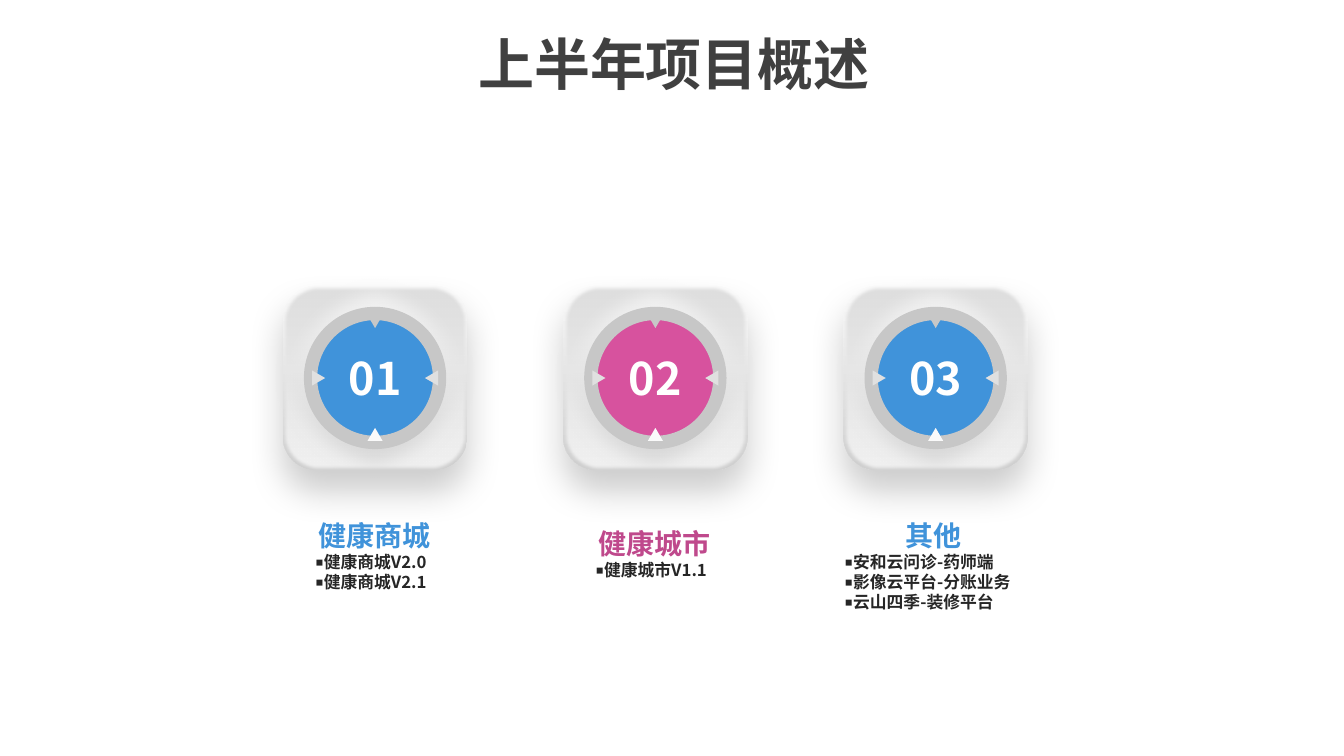
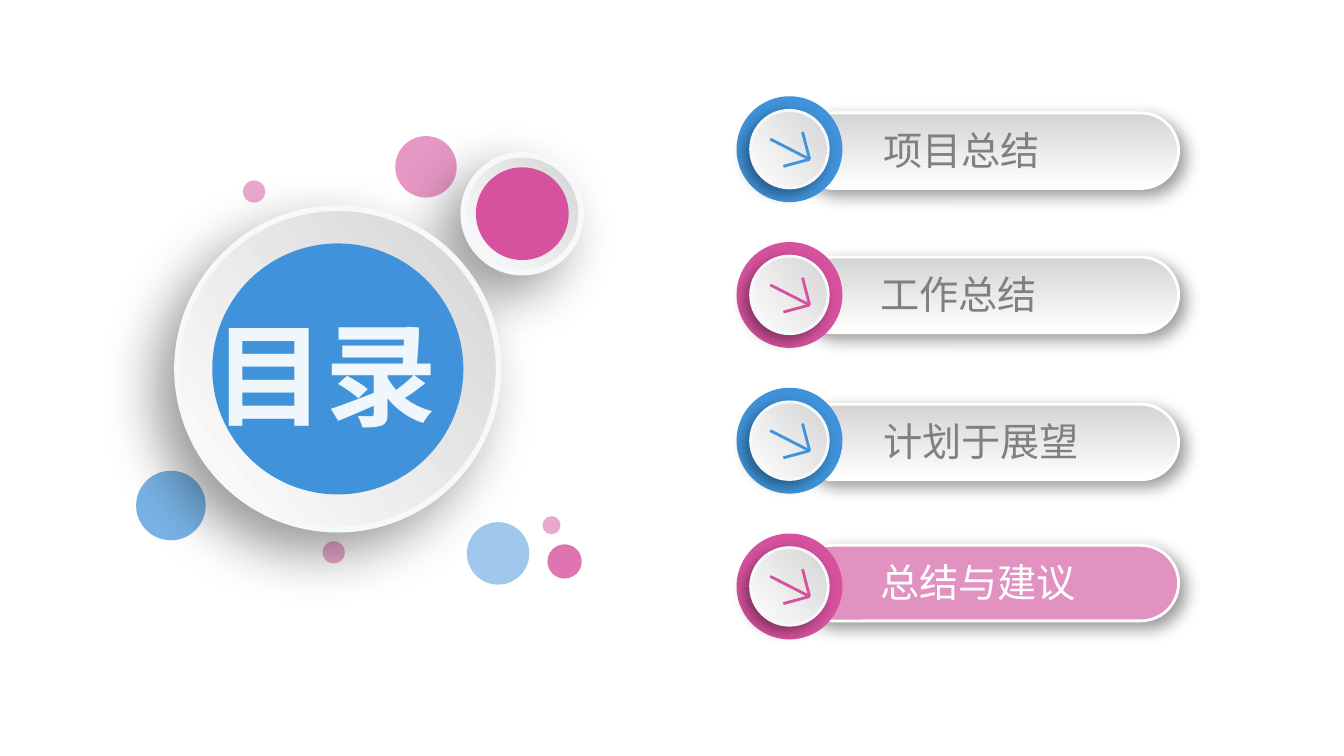
"""Build a project overview slide and a contents slide with python-pptx."""
from dataclasses import dataclass
from typing import Any, NamedTuple, Optional, Union

import lxml.etree
import pptx
import pptx.dml.color
import pptx.enum.shapes
import pptx.enum.text
import pptx.oxml.ns
import pptx.util

Inches = pptx.util.Inches
Pt = pptx.util.Pt
RGB = pptx.dml.color.RGBColor
Kind = pptx.enum.shapes.MSO_SHAPE
Align = pptx.enum.text.PP_ALIGN
qn = pptx.oxml.ns.qn

BLUE = RGB(0x40, 0x93, 0xDA)
PINK = RGB(0xD7, 0x52, 0x9E)
ROSE = RGB(0xE2, 0x92, 0xC0)
PLUM = RGB(0xBF, 0x49, 0x8C)
WHITE = RGB(0xFF, 0xFF, 0xFF)
ICE = RGB(0xEF, 0xF6, 0xFC)
RIM = RGB(0xF6, 0xF9, 0xFC)
INK = RGB(0x26, 0x26, 0x26)
DARK = RGB(0x40, 0x40, 0x40)
GREY = RGB(0x80, 0x80, 0x80)
SNOW = RGB(0xFA, 0xFA, 0xFA)
MIST = RGB(0xE0, 0xE0, 0xE0)
RING = RGB(0xC7, 0xC7, 0xC7)
STEEL = RGB(0xD4, 0xD4, 0xD4)
FACE = "Noto Sans CJK SC"


class Fade(NamedTuple):
    """Two-colour gradient with a counterclockwise angle."""
    start: RGB
    end: RGB
    angle: float


class Shade(NamedTuple):
    """Outer shadow: opacity in percent, blur and distance in points, angle."""
    alpha: int
    blur: float
    gap: float
    angle: int


class Edge(NamedTuple):
    """Outline colour and width in points."""
    color: RGB
    width: float


@dataclass(frozen=True)
class Tile:
    """Numbered project tile with its caption box."""
    number: str
    color: RGB
    tint: RGB
    head: str
    items: tuple[str, ...]
    box: tuple[float, float, float, float]


@dataclass(frozen=True)
class Entry:
    """One line of the contents list."""
    label: str
    color: RGB
    top: float
    left: float
    fill: Union[RGB, Fade]
    ink: RGB = GREY


class Dot(NamedTuple):
    """Loose translucent circle."""
    left: float
    top: float
    size: float
    color: RGB
    alpha: int


CARD = Fade(SNOW, RGB(0xCF, 0xCF, 0xCF), 270)
PLATE = Fade(RGB(0xDE, 0xDE, 0xDE), RGB(0xF2, 0xF2, 0xF2), 270)
DISH = Fade(RGB(0xF7, 0xF7, 0xF7), STEEL, 270)
BAR = Fade(WHITE, STEEL, 90)
KNOB = Fade(WHITE, STEEL, 40)

TILES = (
    Tile("01", BLUE, BLUE, "健康商城", ("健康商城V2.0", "健康商城V2.1"),
         (3.03, 5.09, 1.37, 0.84)),
    Tile("02", PINK, PLUM, "健康城市", ("健康城市V1.1",),
         (5.81, 5.17, 1.37, 0.64)),
    Tile("03", BLUE, BLUE, "其他",
         ("安和云问诊-药师端", "影像云平台-分账业务", "云山四季-装修平台"),
         (8.28, 5.09, 1.96, 1.04)),
)
ENTRIES = (
    Entry("项目总结", BLUE, 1.12, 8.66, BAR),
    Entry("工作总结", PINK, 2.55, 8.63, BAR),
    Entry("计划于展望", BLUE, 4.01, 8.66, BAR),
    Entry("总结与建议", PINK, 5.41, 8.63, ROSE, WHITE),
)
DOTS = (
    Dot(1.35, 4.67, 0.69, BLUE, 70),
    Dot(3.92, 1.35, 0.61, PINK, 60),
    Dot(2.41, 1.79, 0.22, PINK, 50),
    Dot(5.43, 5.4, 0.34, PINK, 80),
    Dot(4.63, 5.18, 0.62, BLUE, 50),
    Dot(3.2, 5.37, 0.22, PINK, 50),
    Dot(5.38, 5.12, 0.18, PINK, 50),
)


def node(host: Any, tag: str, **attrs: Any) -> Any:
    """Append a drawing element with the given attributes."""
    return lxml.etree.SubElement(host, qn(tag), {k: str(v) for k, v in attrs.items()})


def write(frame: Any, text: str, *, size: float, color: RGB, bold: bool = False,
          face: str = FACE, align: Any = Align.LEFT, mark: str = "") -> None:
    """Add one formatted paragraph, using the empty first one when free."""
    para = frame.paragraphs[0] if not frame.text else frame.add_paragraph()
    para.alignment = align
    if mark:
        props = para._p.get_or_add_pPr()
        props.set("marL", str(Inches(0.08)))
        props.set("indent", str(-Inches(0.08)))
        node(props, "a:buFont", typeface=face)
        node(props, "a:buChar", char=mark)
    run = para.add_run()
    run.text = text
    font = run.font
    font.size, font.bold, font.name = Pt(size), bold, face
    font.color.rgb = color
    node(run._r.get_or_add_rPr(), "a:ea", typeface=face)


def setup(frame: Any, wrap: bool = False) -> Any:
    """Set the wrapping and fixed size of a text frame."""
    frame.word_wrap = wrap
    frame.auto_size = pptx.enum.text.MSO_AUTO_SIZE.NONE
    return frame


def label(slide: Any, box: tuple[float, ...], wrap: bool = False) -> Any:
    """Add a text box and return its frame."""
    return setup(slide.shapes.add_textbox(*map(Inches, box)).text_frame, wrap)


def title(slide: Any, box: tuple[float, ...], text: str, **style: Any) -> None:
    """Place the title on top of the slide and fill it."""
    head = slide.shapes.title
    head.left, head.top, head.width, head.height = map(Inches, box)
    write(setup(head.text_frame), text, bold=True, **style)
    slide.shapes._spTree.append(head._element)


def shape(slide: Any, kind: Any, box: tuple[float, ...], fill: Union[RGB, Fade], *,
          edge: Optional[Edge] = None, shade: Optional[Shade] = None,
          soft: float = 0, alpha: int = 100, turn: float = 0,
          round: Optional[float] = None) -> None:
    """Draw a preset shape with its fill, outline and effects."""
    item = slide.shapes.add_shape(kind, *map(Inches, box))
    item.rotation = turn
    if round is not None:
        item.adjustments[0] = round
    if isinstance(fill, Fade):
        item.fill.gradient()
        item.fill.gradient_angle = fill.angle
        for stop, color in zip(item.fill.gradient_stops, fill[:2]):
            stop.color.rgb = color
    else:
        item.fill.solid()
        item.fill.fore_color.rgb = fill
    props = item._element.spPr
    if alpha < 100:
        node(props.find(".//" + qn("a:srgbClr")), "a:alpha", val=alpha * 1000)
    if edge:
        item.line.color.rgb = edge.color
        item.line.width = Pt(edge.width)
    else:
        item.line.fill.background()
    item.shadow.inherit = False
    effects = props.find(qn("a:effectLst"))
    if shade:
        cast = node(effects, "a:outerShdw", blurRad=Pt(shade.blur), dist=Pt(shade.gap),
                    dir=shade.angle * 60000, algn="ctr", rotWithShape=0)
        node(node(cast, "a:srgbClr", val="000000"), "a:alpha", val=shade.alpha * 1000)
    if soft:
        node(effects, "a:softEdge", rad=Pt(soft))


def disc(slide: Any, x: float, y: float, size: float, fill: Union[RGB, Fade],
         **style: Any) -> None:
    """Draw a circle around a centre."""
    shape(slide, Kind.OVAL, (x - size / 2, y - size / 2, size, size), fill, **style)


def stroke(slide: Any, start: tuple[float, float], end: tuple[float, float],
           color: RGB) -> None:
    """Draw a plain straight line."""
    line = slide.shapes.add_connector(pptx.enum.shapes.MSO_CONNECTOR.STRAIGHT,
                                      *map(Inches, start + end))
    line.line.color.rgb = color
    line.line.width = Pt(2)
    node(line._element.spPr, "a:effectLst")


def draw_tile(slide: Any, tile: Tile, x: float, y: float) -> None:
    """Draw a numbered tile and the caption below it."""
    side = 1.83
    card = (x - side / 2, y - side / 2, side, side)
    shape(slide, Kind.ROUNDED_RECTANGLE, card, CARD, round=0.183,
          shade=Shade(20, 25, 15, 90))
    shape(slide, Kind.ROUNDED_RECTANGLE, card, PLATE, round=0.183, soft=2.5)
    disc(slide, x, y, 2.03, DISH, soft=12.5)
    disc(slide, x, y, 1.28, tile.color, edge=Edge(RING, 9.5))
    reach, wide, high = 0.56, 0.15, 0.13
    for dx, dy, turn, color in ((-reach, 0, 90, MIST), (reach, 0, 270, MIST),
                                (0, -reach, 180, RING), (0, reach, 0, SNOW)):
        shape(slide, Kind.ISOSCELES_TRIANGLE,
              (x + dx - wide / 2, y + dy - high / 2, wide, high), color, turn=turn)
    write(label(slide, (x - 0.39, y - 0.32, 0.78, 0.64)), tile.number, size=32,
          color=WHITE, bold=True, align=Align.CENTER)
    frame = label(slide, tile.box)
    write(frame, tile.head, size=20, color=tile.tint, bold=True, align=Align.CENTER)
    for text in tile.items:
        write(frame, text, size=12, color=INK, bold=True, mark="￭")


def draw_entry(slide: Any, entry: Entry, x: float, y: float) -> None:
    """Draw a contents bar with its round arrow button."""
    shape(slide, Kind.ROUNDED_RECTANGLE, (7.89, entry.top, 3.8, 0.75), entry.fill,
          round=0.5, edge=Edge(WHITE, 2), shade=Shade(40, 12, 6, 45))
    write(label(slide, (entry.left, entry.top + 0.08, 2.67, 0.57), True), entry.label,
          size=28, color=entry.ink)
    disc(slide, x, y, 1.05, entry.color)
    disc(slide, x, y, 0.77, KNOB, edge=Edge(RIM, 2), shade=Shade(40, 10, 5, 135))
    tip = (x + 0.2, y + 0.1)
    for dx, dy in ((-0.39, -0.2), (-0.07, -0.27), (-0.26, 0.07)):
        stroke(slide, (tip[0] + dx, tip[1] + dy), tip, entry.color)


def draw_medal(slide: Any, x: float, y: float, size: float, core: float,
               color: RGB) -> None:
    """Draw a raised pale circle with a coloured core."""
    disc(slide, x, y, size, KNOB, edge=Edge(RIM, 4), shade=Shade(40, 40, 20, 135))
    disc(slide, x, y, core, color)


def main() -> None:
    """Build both slides and save the deck."""
    deck = pptx.Presentation()
    deck.slide_width, deck.slide_height = Inches(13.33), Inches(7.5)
    plan, index = (deck.slides.add_slide(deck.slide_layouts[5]) for _ in range(2))

    title(plan, (4.63, 0.24, 4.11, 0.77), "上半年项目概述", size=40, color=DARK,
          align=Align.CENTER)
    for i, tile in enumerate(TILES):
        draw_tile(plan, tile, 3.72 + 2.78 * i, 3.75)

    for i, entry in enumerate(ENTRIES):
        draw_entry(index, entry, 7.83, 1.48 + 1.446 * i)
    for dot in DOTS:
        shape(index, Kind.OVAL, (dot.left, dot.top, dot.size, dot.size), dot.color,
              alpha=dot.alpha)
    draw_medal(index, 5.18, 2.12, 1.17, 0.92, PINK)
    draw_medal(index, 3.35, 3.66, 3.19, 2.49, BLUE)
    title(index, (2.02, 2.97, 2.46, 1.45), "目录", size=80, color=ICE, face="Arial")

    deck.save("out.pptx")


if __name__ == "__main__":
    main()
